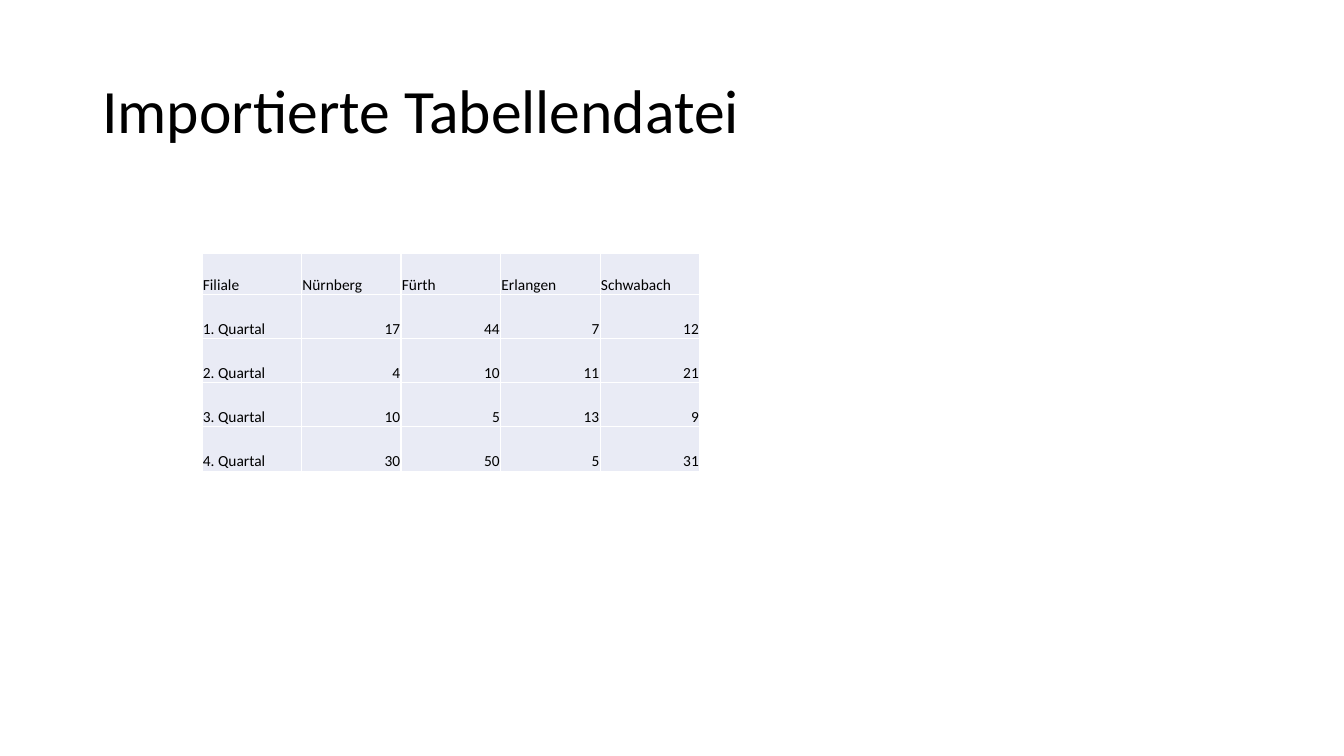
from lxml import etree
from pptx import Presentation
from pptx.dml.color import RGBColor
from pptx.enum.text import MSO_ANCHOR, PP_ALIGN
from pptx.oxml.ns import qn
from pptx.util import Pt

MIDDLE, BOTTOM = MSO_ANCHOR.MIDDLE, MSO_ANCHOR.BOTTOM
LEFT, RIGHT = PP_ALIGN.LEFT, PP_ALIGN.RIGHT
COLORS = {"text": "000000", "cell": "E9EBF5", "border": "FFFFFF"}
COLUMN_WIDTH = 71.1
HEADER_HEIGHT, ROW_HEIGHT = 29.2, 31.6

branches = [
    ("Filiale", "Nürnberg", "Fürth", "Erlangen", "Schwabach"),
    ("1. Quartal", 17, 44, 7, 12),
    ("2. Quartal", 4, 10, 11, 21),
    ("3. Quartal", 10, 5, 13, 9),
    ("4. Quartal", 30, 50, 5, 31),
]


def style_font(para, size):
    para.font.name = "Calibri"
    para.font.size = Pt(size)
    para.font.color.rgb = RGBColor.from_string(COLORS["text"])


def add_borders(cell):
    properties = cell._tc.get_or_add_tcPr()
    for side in ("lnL", "lnR", "lnT", "lnB"):
        line = etree.SubElement(properties, qn(f"a:{side}"), w=str(Pt(1)))
        fill = etree.SubElement(line, qn("a:solidFill"))
        etree.SubElement(fill, qn("a:srgbClr"), val=COLORS["border"])


deck = Presentation()
deck.slide_width, deck.slide_height = Pt(960), Pt(540)
page = deck.slides.add_slide(deck.slide_layouts[6])

title = page.shapes.add_textbox(Pt(66), Pt(28.75), Pt(828), Pt(104.4))
title.text_frame.word_wrap = True
title.text_frame.vertical_anchor = MIDDLE
para = title.text_frame.paragraphs[0]
para.text = "Importierte Tabellendatei"
para.line_spacing = 0.9
style_font(para, 44)

frame = page.shapes.add_table(
    len(branches), len(branches[0]), Pt(144.3), Pt(181),
    Pt(COLUMN_WIDTH * len(branches[0])),
    Pt(HEADER_HEIGHT + ROW_HEIGHT * (len(branches) - 1)))
table = frame.table
table.horz_banding = False
for column in table.columns:
    column.width = Pt(COLUMN_WIDTH)

for row_index, values in enumerate(branches):
    table.rows[row_index].height = Pt(ROW_HEIGHT if row_index else HEADER_HEIGHT)
    for column_index, value in enumerate(values):
        cell = table.cell(row_index, column_index)
        cell.margin_left = cell.margin_right = cell.margin_top = Pt(0.6)
        cell.margin_bottom = Pt(0)
        cell.vertical_anchor = BOTTOM
        add_borders(cell)
        cell.fill.solid()
        cell.fill.fore_color.rgb = RGBColor.from_string(COLORS["cell"])
        para = cell.text_frame.paragraphs[0]
        para.text = str(value)
        para.alignment = RIGHT if isinstance(value, int) else LEFT
        style_font(para, 11)
        para.font.bold = False

deck.save("out.pptx")
